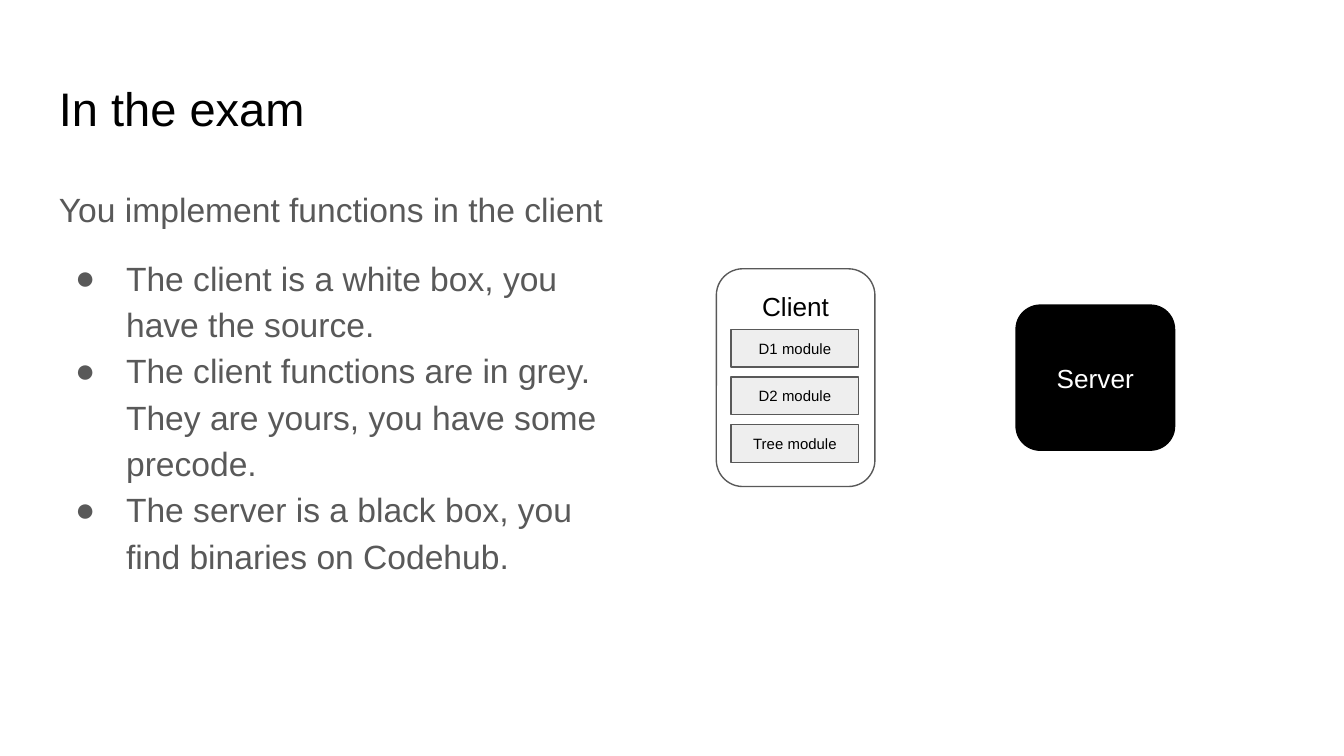
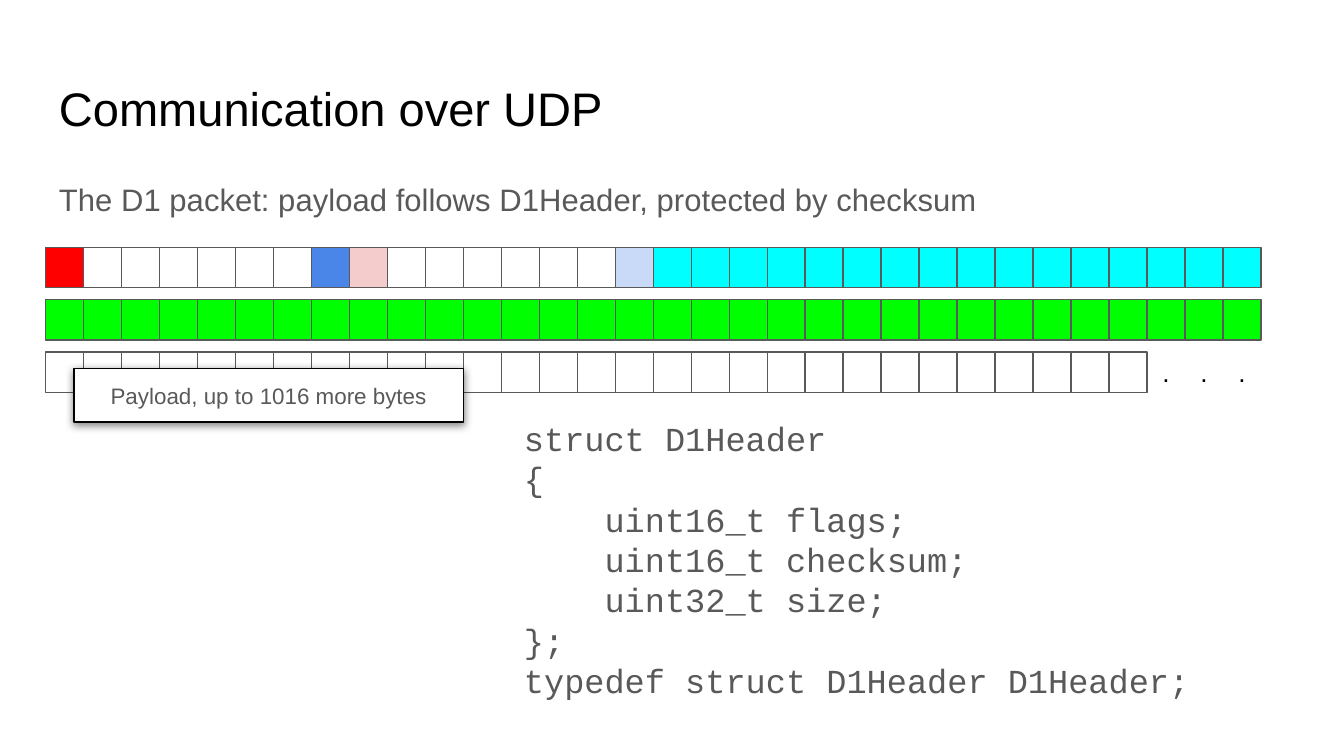
from lxml import etree
from pptx import Presentation
from pptx.dml.color import RGBColor
from pptx.enum.shapes import MSO_SHAPE
from pptx.enum.text import MSO_ANCHOR, PP_ALIGN
from pptx.oxml import parse_xml
from pptx.oxml.ns import nsdecls, qn
from pptx.util import Inches, Pt

RECT, ROUND = MSO_SHAPE.RECTANGLE, MSO_SHAPE.ROUNDED_RECTANGLE
LEFT, CENTER = PP_ALIGN.LEFT, PP_ALIGN.CENTER
TOP, MIDDLE = MSO_ANCHOR.TOP, MSO_ANCHOR.MIDDLE

BLACK = RGBColor(0x00, 0x00, 0x00)
WHITE = RGBColor(0xFF, 0xFF, 0xFF)
GREY = RGBColor(0x59, 0x59, 0x59)
PALE = RGBColor(0xEE, 0xEE, 0xEE)
RED = RGBColor(0xFF, 0x00, 0x00)
PINK = RGBColor(0xF4, 0xCC, 0xCC)
BLUE = RGBColor(0x4A, 0x86, 0xE8)
SKY = RGBColor(0xC9, 0xDA, 0xF8)
CYAN = RGBColor(0x00, 0xFF, 0xFF)
GREEN = RGBColor(0x00, 0xFF, 0x00)


def write(shape, text, size, color, align=LEFT, anchor=TOP, font="Arial"):
    """Fill a shape with text, one paragraph per line; return the paragraphs."""
    frame = shape.text_frame
    frame.word_wrap = True
    frame.vertical_anchor = anchor
    frame.margin_left = frame.margin_right = Inches(0.1)
    frame.margin_top = frame.margin_bottom = Inches(0.1)
    frame.text = text
    for para in frame.paragraphs:
        para.alignment = align
        for run in para.runs:
            run.font.name = font
            run.font.size = Pt(size)
            run.font.color.rgb = color
    return frame.paragraphs


def block(shapes, kind, x, y, w, h, fill, line):
    """Add a filled, outlined shape without a shadow."""
    shape = shapes.add_shape(kind, Inches(x), Inches(y), Inches(w), Inches(h))
    shape.shadow.inherit = False
    shape.fill.solid()
    shape.fill.fore_color.rgb = fill
    shape.line.color.rgb = line
    shape.line.width = Pt(0.75)
    return shape


deck = Presentation()
deck.slide_width = Inches(10)
deck.slide_height = Inches(10 * 9 / 16)

# Both slides: blank page with a title
pages = []
for title in ("In the exam", "Communication over UDP"):
    page = deck.slides.add_slide(deck.slide_layouts[6])
    head = page.shapes.add_textbox(Inches(0.34), Inches(0.49), Inches(9.32), Inches(0.63))
    write(head, title, 25.2, BLACK)
    pages.append(page.shapes)
exam, udp = pages

# Slide 1: what is given and what is to be written
body = exam.add_textbox(Inches(0.34), Inches(1.26), Inches(4.33), Inches(3.95))
points = "\n".join([
    "You implement functions in the client",
    "The client is a white box, you have the source.",
    "The client functions are in grey. They are yours, you have some precode.",
    "The server is a black box, you find binaries on Codehub.",
])
paras = write(body, points, 18, GREY)
for para in paras:
    para.line_spacing = 1.15
paras[1].space_before = Pt(12)
for para in paras[1:]:
    props = para._p.get_or_add_pPr()
    props.set("marL", str(Inches(0.5)))
    props.set("indent", str(Inches(-0.38)))
    tint = etree.SubElement(props, qn("a:buClr"))
    etree.SubElement(tint, qn("a:srgbClr"), val=str(GREY))
    etree.SubElement(props, qn("a:buFont"), typeface="Arial")
    etree.SubElement(props, qn("a:buChar"), char="●")

client = block(exam, ROUND, 5.33, 2, 1.18, 1.62, WHITE, GREY)
write(client, "Client", 14, BLACK, CENTER)
server = block(exam, ROUND, 7.56, 2.27, 1.18, 1.08, BLACK, BLACK)
write(server, "Server", 14, WHITE, CENTER, MIDDLE)
for i, name in enumerate(("D1 module", "D2 module", "Tree module")):
    module = block(exam, RECT, 5.44, 2.45 + i * 0.71 / 2, 0.95, 0.28, PALE, GREY)
    write(module, name, 8, BLACK, CENTER, MIDDLE)

# Slide 2: the packet, 32 cells to a row
START, STEP, HIGH = 0.34, 8.76 / 31, 0.3
flags = [RED] + [WHITE] * 6 + [BLUE]
check = [PINK] + [WHITE] * 6 + [SKY]
size = [GREEN] * 32
load = [WHITE] * 29

rows = (
    (udp.add_group_shape().shapes, 1.84, flags + check + [CYAN] * 16),
    (udp.add_group_shape().shapes, 2.23, size),
    (udp, 2.62, load),
)

lead = udp.add_textbox(Inches(0.34), Inches(1.26), Inches(9.26), Inches(0.48))
para = write(lead, "The D1 packet: payload follows D1Header, protected by checksum", 16.65, GREY)[0]
para.line_spacing = 0.95
para.space_after = Pt(12)

code = udp.add_textbox(Inches(3.8), Inches(3.01), Inches(5.62), Inches(2.32))
lines = "\n".join([
    "struct D1Header",
    "{",
    "uint16_t flags;",
    "uint16_t checksum;",
    "uint32_t size;",
    "};",
    "typedef struct D1Header D1Header;",
])
for para in write(code, lines, 18, GREY, font="Courier New"):
    if para.text.startswith("uint"):
        para._p.get_or_add_pPr().set("marL", str(Inches(0.6)))

for i in range(len(load), 32):
    dot = block(udp, RECT, START + i * STEP, 2.62, STEP, HIGH, WHITE, WHITE)
    write(dot, ".", 14, BLACK, CENTER, MIDDLE)

for shapes, y, fills in rows:
    for i, fill in enumerate(fills):
        block(shapes, RECT, START + i * STEP, y, STEP, HIGH, fill, GREY)

note = block(udp, RECT, 0.55, 2.74, 2.9, 0.4, WHITE, BLACK)
write(note, "Payload, up to 1016 more bytes", 12, GREY, CENTER)
note._element.spPr.find(qn("a:effectLst")).append(parse_xml(
    f'<a:outerShdw {nsdecls("a")} blurRad="{Pt(4.5)}" dist="{Pt(1.5)}" dir="5400000"'
    ' algn="bl" rotWithShape="0">'
    f'<a:srgbClr val="{BLACK}"><a:alpha val="50000"/></a:srgbClr></a:outerShdw>'))

deck.save("out.pptx")
